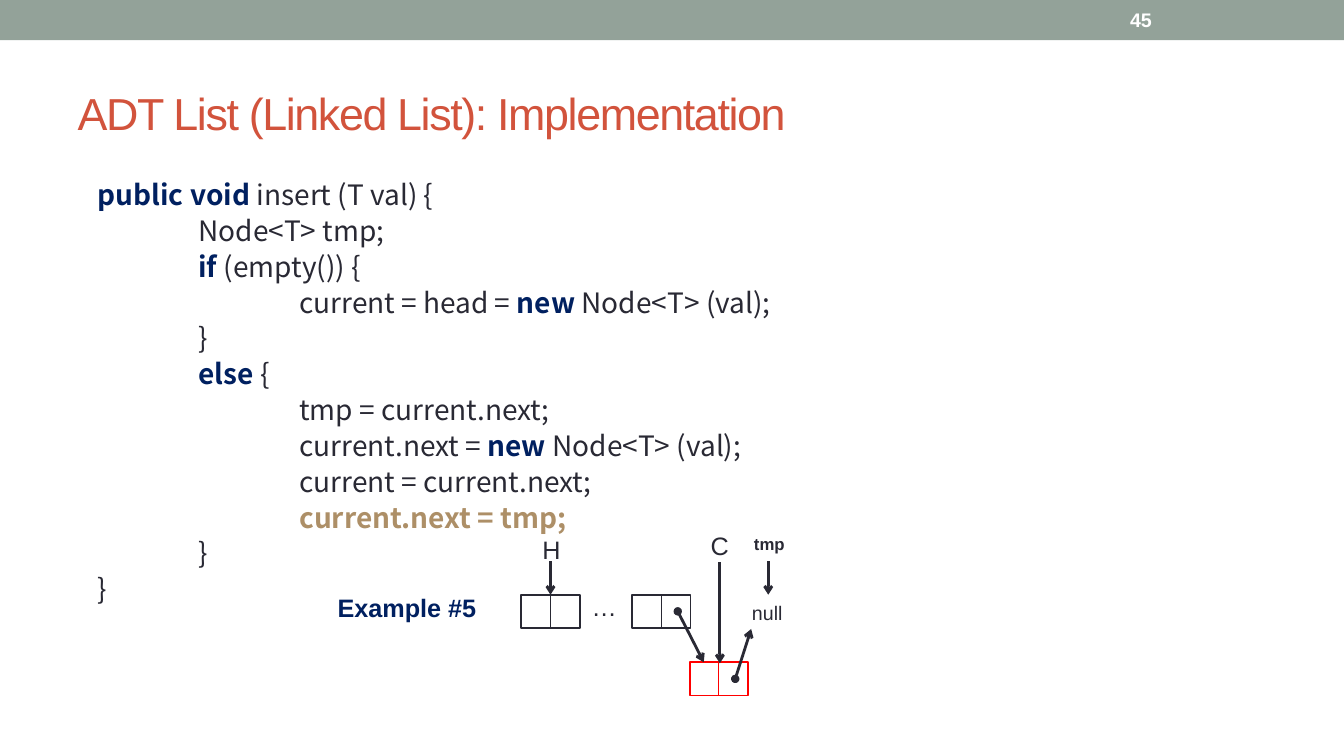
from lxml import etree
from pptx import Presentation
from pptx.dml.color import RGBColor
from pptx.enum import shapes, text
from pptx.oxml import ns
from pptx.util import Inches, Pt

COLORS = {"band": "93A299", "title": "D2533C", "ink": "292934", "keyword": "002060",
          "highlight": "AD8F67", "new_node": "FF0000", "white": "FFFFFF"}
NODE_W, NODE_H = 0.58, 0.33
CODE = [
    (0, [("public void ", "keyword"), ("insert (T val) {", "ink")]),
    (1, [("Node<T> tmp;", "ink")]),
    (1, [("if", "keyword"), (" (empty()) {", "ink")]),
    (2, [("current = head = ", "ink"), ("new", "keyword"), (" Node<T> (val);", "ink")]),
    (1, [("}", "ink")]),
    (1, [("else", "keyword"), (" {", "ink")]),
    (2, [("tmp = current.next;", "ink")]),
    (2, [("current.next = ", "ink"), ("new", "keyword"), (" Node<T> (val);", "ink")]),
    (2, [("current = current.next;", "ink")]),
    (2, [("current.next = tmp;", "highlight")]),
    (1, [("}", "ink")]),
    (0, [("}", "ink")]),
]


def rgb(name):
    return RGBColor.from_string(COLORS[name])


def style(font, size, color, bold=False, face="Arial"):
    font.name, font.size, font.bold = face, Pt(size), bold
    font.color.rgb = rgb(color)


def add_rect(slide, left, top, width, height, fill, outline=None):
    rect = slide.shapes.add_shape(shapes.MSO_SHAPE.RECTANGLE, *map(Inches, (left, top, width, height)))
    rect.shadow.inherit = False
    rect.fill.solid()
    rect.fill.fore_color.rgb = rgb(fill)
    if outline:
        rect.line.color.rgb = rgb(outline)
        rect.line.width = Pt(1.25)
    else:
        rect.line.fill.background()


def add_label(slide, left, top, width, height, words, size, color="ink", bold=False):
    label = slide.shapes.add_textbox(*map(Inches, (left, top, width, height)))
    label.text_frame.text = words
    label.text_frame.word_wrap = False
    style(label.text_frame.paragraphs[0].runs[0].font, size, color, bold)
    return label


def add_line(slide, start, end, color="ink", width=2, head=None, tail=None):
    line = slide.shapes.add_connector(shapes.MSO_CONNECTOR.STRAIGHT, *map(Inches, (*start, *end)))
    line.line.color.rgb = rgb(color)
    line.line.width = Pt(width)
    outline = line.line._get_or_add_ln()
    for tag, kind in (("a:headEnd", head), ("a:tailEnd", tail)):
        if kind:
            etree.SubElement(outline, ns.qn(tag), type=kind)
    etree.SubElement(line._element.spPr, ns.qn("a:effectLst"))


def add_band(slide, left, top, width, height):
    add_rect(slide, left, top, width, height, "band")
    number = add_label(slide, left + 11.11, top + 0.02, 1.56, 0.36, "45", 14, "white", True)
    number.text_frame.vertical_anchor = text.MSO_ANCHOR.MIDDLE


def place_title(slide, left, top, width, height):
    title = slide.shapes.title
    title.left, title.top, title.width, title.height = map(Inches, (left, top, width, height))
    title.text_frame.text = "ADT List (Linked List): Implementation"
    title.text_frame.vertical_anchor = text.MSO_ANCHOR.MIDDLE
    heading = title.text_frame.paragraphs[0]
    heading.alignment = text.PP_ALIGN.LEFT
    style(heading.runs[0].font, 32, "title")
    heading.runs[0]._r.get_or_add_rPr().set("spc", "-100")


def add_code(slide, left, top, width, height):
    listing = slide.shapes.add_textbox(*map(Inches, (left, top, width, height))).text_frame
    listing.word_wrap = True
    for number, (depth, pieces) in enumerate(CODE):
        row = listing.add_paragraph() if number else listing.paragraphs[0]
        row.line_spacing = 0.9
        row.space_before = Pt(4 if number else 0)
        margins = row._p.get_or_add_pPr()
        margins.set("marL", str(Inches(0.2 + depth)))
        margins.set("indent", "0")
        for words, color in pieces:
            piece = row.add_run()
            piece.text = words
            style(piece.font, 20, color, color != "ink", "Noto Sans CJK SC")


def add_node(slide, left, top, color="ink"):
    add_rect(slide, left, top, NODE_W, NODE_H, "white", color)
    middle = left + NODE_W / 2
    add_line(slide, (middle, top), (middle, top + NODE_H), color, 0.75)


def add_list_diagram(slide, left, top):
    row, new_row = top + 0.69, top + 1.36
    first, last, new = left + 1.92, left + 3.02, left + 3.59
    head, current, tmp = first + NODE_W / 2, left + 3.89, left + 4.37
    add_node(slide, first, row)
    add_node(slide, last, row)
    add_node(slide, new, new_row, "new_node")
    for target, start, end in ((head, row - 0.33, row), (tmp, row - 0.33, row),
                               (current, row - 0.32, new_row + 0.01)):
        add_line(slide, (target, start), (target, end), tail="arrow")
    for node, node_top, end in ((last, row, (new + 0.14, new_row)),
                                (new, new_row, (left + 4.2, row + 0.34))):
        start = (node + NODE_W * 0.78, node_top + NODE_H / 2)
        add_line(slide, start, end, head="oval", tail="arrow")
    add_label(slide, left, top + 0.62, 1.64, 0.4, "Example #5", 18, "keyword", True)
    add_label(slide, left + 2.03, top + 0.04, 0.39, 0.4, "H", 18)
    add_label(slide, left + 2.52, top + 0.61, 0.45, 0.4, "…", 18)
    add_label(slide, left + 3.7, top, 0.39, 0.4, "C", 18)
    add_label(slide, left + 4.13, top + 0.04, 0.53, 0.3, "tmp", 12, bold=True)
    add_label(slide, left + 4.11, top + 0.7, 0.51, 0.34, "null", 14)


def main():
    deck = Presentation()
    deck.slide_width, deck.slide_height = Inches(13.33), Inches(7.5)
    slide = deck.slides.add_slide(deck.slide_layouts[5])
    add_band(slide, 0, 0, 13.33, 0.4)
    place_title(slide, 0.67, 0.58, 12, 1.08)
    add_code(slide, 0.67, 1.75, 12, 5.33)
    add_list_diagram(slide, 3.25, 5.21)
    deck.save("out.pptx")


if __name__ == "__main__":
    main()
